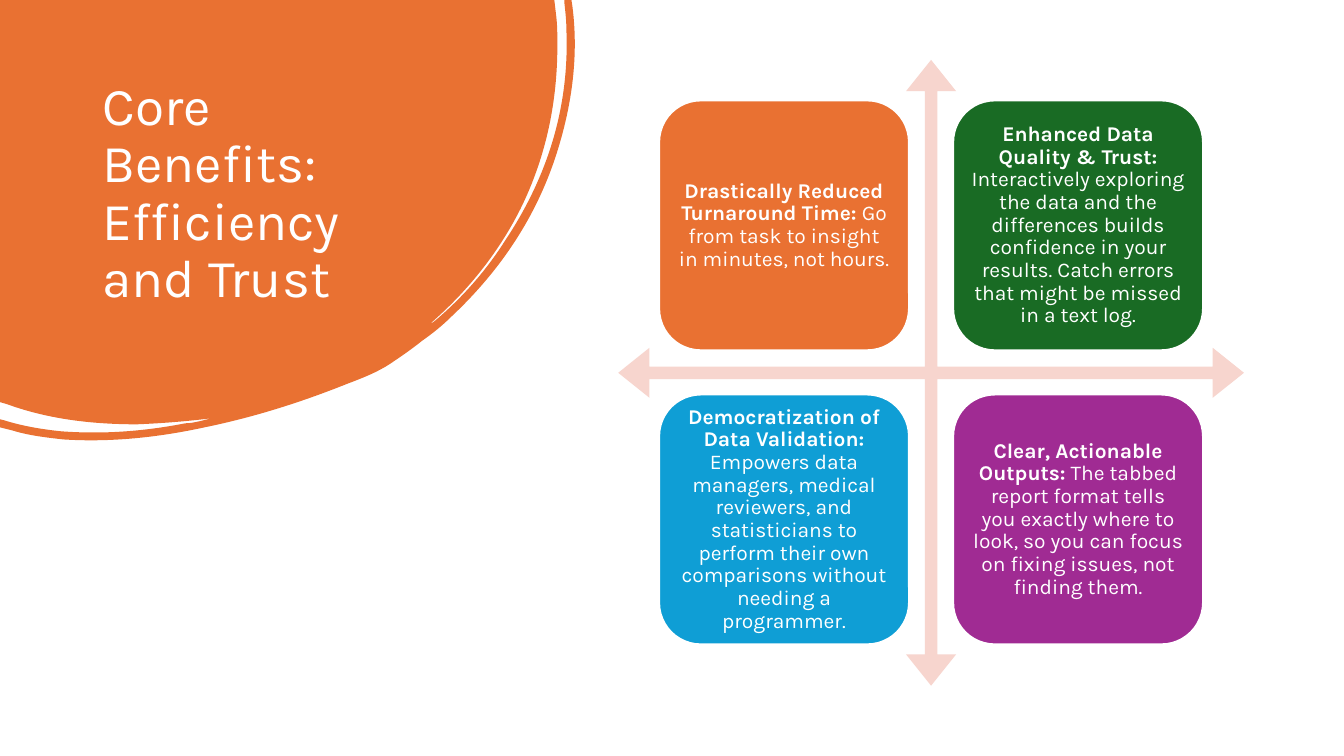
import dataclasses
import itertools

import lxml.etree
import pptx
import pptx.dml.color
import pptx.enum.shapes
import pptx.enum.text
import pptx.oxml.ns
import pptx.util

Cm = pptx.util.Cm
Pt = pptx.util.Pt
RGBColor = pptx.dml.color.RGBColor
ShapeKind = pptx.enum.shapes.MSO_SHAPE
Align = pptx.enum.text.PP_ALIGN
Anchor = pptx.enum.text.MSO_ANCHOR
qualified = pptx.oxml.ns.qn


@dataclasses.dataclass(frozen=True)
class Theme:
    font: str = "Karla"
    white: RGBColor = RGBColor(0xFF, 0xFF, 0xFF)
    orange: RGBColor = RGBColor(0xE9, 0x71, 0x32)
    green: RGBColor = RGBColor(0x19, 0x6B, 0x24)
    blue: RGBColor = RGBColor(0x0F, 0x9E, 0xD5)
    purple: RGBColor = RGBColor(0xA0, 0x2B, 0x93)
    blush: RGBColor = RGBColor(0xF7, 0xD5, 0xCE)
    title_size: pptx.util.Length = Pt(38)
    card_size: pptx.util.Length = Pt(15)
    line_spacing: float = 0.9


@dataclasses.dataclass(frozen=True)
class Card:
    heading: str
    detail: str
    color: RGBColor


THEME = Theme()

# Cards, row by row
CARDS = [
    Card("Drastically Reduced Turnaround Time:",
         "Go from task to insight in minutes, not hours.", THEME.orange),
    Card("Enhanced Data Quality & Trust:",
         "Interactively exploring the data and the differences builds confidence in your "
         "results. Catch errors that might be missed in a text log.", THEME.green),
    Card("Democratization of Data Validation:",
         "Empowers data managers, medical reviewers, and statisticians to perform their own "
         "comparisons without needing a programmer.", THEME.blue),
    Card("Clear, Actionable Outputs:",
         "The tabbed report format tells you exactly where to look, so you can focus on "
         "fixing issues, not finding them.", THEME.purple),
]
CARD_LEFT, CARD_TOP, CARD_SIDE, CARD_PITCH = 16.61, 2.53, 6.3, 7.41

# Corner blob, drawn from the slide's top left corner:
# two numbers are a straight step, six are a Bézier curve
BLOB_UNIT = Cm(2.54)
BLOB_STEPS: list[tuple[float, ...]] = [
    (5.5, 0), (5.52, 0.17),
    (5.53, 0.26, 5.53, 0.36, 5.53, 0.45),
    (5.53, 1.01, 5.42, 1.54, 5.18, 2.04),
    (4.96, 2.49, 4.65, 2.88, 4.27, 3.21),
    (4.29, 3.21, 4.3, 3.19, 4.32, 3.18),
    (4.59, 2.95, 4.82, 2.69, 5.01, 2.39),
    (5.43, 1.76, 5.65, 1.07, 5.62, 0.3),
    (5.62, 0.21, 5.61, 0.12, 5.6, 0.03),
    (5.6, 0), (5.67, 0), (5.68, 0.07),
    (5.74, 0.54, 5.68, 1.02, 5.53, 1.5),
    (5.33, 2.14, 4.97, 2.68, 4.48, 3.14),
    (4.39, 3.23, 4.29, 3.31, 4.19, 3.38),
    (4.09, 3.46, 3.99, 3.53, 3.87, 3.61),
    (3.75, 3.69, 3.6, 3.75, 3.44, 3.81),
    (2.99, 3.99, 2.52, 4.14, 2.03, 4.24),
    (1.57, 4.34, 1.1, 4.39, 0.63, 4.36),
    (0.45, 4.34, 0.28, 4.32, 0.12, 4.27),
    (0, 4.24), (0, 4.16), (0.04, 4.17),
    (0.23, 4.23, 0.42, 4.26, 0.61, 4.28),
    (1.03, 4.31, 1.43, 4.28, 1.84, 4.2),
    (1.89, 4.2, 1.93, 4.19, 1.98, 4.18),
    (2.02, 4.17, 2.06, 4.16, 2.1, 4.15),
    (1.86, 4.18, 1.61, 4.2, 1.36, 4.21),
    (0.92, 4.21, 0.48, 4.16, 0.07, 4.01),
    (0, 3.99),
]


def paint(shape, color: RGBColor) -> None:
    shape.shadow.inherit = False
    shape.fill.solid()
    shape.fill.fore_color.rgb = color
    shape.line.fill.background()


def style_paragraph(paragraph, size: pptx.util.Length, alignment: Align) -> None:
    paragraph.alignment = alignment
    paragraph.line_spacing = THEME.line_spacing
    paragraph.font.name = THEME.font
    paragraph.font.size = size
    paragraph.font.color.rgb = THEME.white


def bend(segment, controls: list[int]) -> None:
    """Turn a straight outline segment into a Bézier curve."""
    segment.tag = qualified("a:cubicBezTo")
    for index, (x, y) in enumerate(zip(controls[::2], controls[1::2])):
        point = lxml.etree.Element(qualified("a:pt"), x=str(x), y=str(y))
        segment.insert(index, point)


def draw_blob(slide) -> None:
    steps = [[round(value * BLOB_UNIT) for value in step] for step in BLOB_STEPS]
    builder = slide.shapes.build_freeform(0, 0)
    builder.add_line_segments([step[-2:] for step in steps], close=True)
    blob = builder.convert_to_shape()
    segments = list(blob.element.iter(qualified("a:lnTo")))
    for segment, step in zip(segments, steps):
        if len(step) == 6:
            bend(segment, step[:4])
    paint(blob, THEME.orange)
    slide.shapes.title.element.addprevious(blob.element)  # behind the title


def fill_title(slide) -> None:
    title = slide.shapes.title
    title.left, title.top, title.width, title.height = Cm(2.33), Cm(1.87), Cm(8.94), Cm(5.64)
    frame = title.text_frame
    frame.text = "Core Benefits: Efficiency and Trust"
    frame.word_wrap = True
    frame.auto_size = pptx.enum.text.MSO_AUTO_SIZE.NONE
    frame.vertical_anchor = Anchor.TOP
    frame.margin_right = Cm(0.6)
    style_paragraph(frame.paragraphs[0], THEME.title_size, Align.LEFT)


def draw_axes(slide) -> None:
    arrows = slide.shapes.add_shape(
        ShapeKind.QUAD_ARROW, Cm(15.58), Cm(1.51), Cm(15.77), Cm(15.77))
    for index, value in enumerate((0.02, 0.04, 0.05)):
        arrows.adjustments[index] = value
    paint(arrows, THEME.blush)


def draw_card(slide, card: Card, left: float, top: float) -> None:
    shape = slide.shapes.add_shape(
        ShapeKind.ROUNDED_RECTANGLE, Cm(left), Cm(top), Cm(CARD_SIDE), Cm(CARD_SIDE))
    paint(shape, card.color)
    shape.line.color.rgb = THEME.white
    shape.line.width = Pt(1.5)
    frame = shape.text_frame
    frame.word_wrap = True
    frame.vertical_anchor = Anchor.MIDDLE
    frame.margin_left = frame.margin_right = Cm(0.16)
    frame.margin_top = frame.margin_bottom = Cm(0.16)
    paragraph = frame.paragraphs[0]
    style_paragraph(paragraph, THEME.card_size, Align.CENTER)
    heading = paragraph.add_run()
    heading.text = card.heading
    heading.font.bold = True
    paragraph.add_run().text = f" {card.detail}"


def main() -> None:
    presentation = pptx.Presentation()
    presentation.slide_width, presentation.slide_height = Cm(33.87), Cm(19.05)
    slide = presentation.slides.add_slide(presentation.slide_layouts.get_by_name("Title Only"))
    draw_blob(slide)
    fill_title(slide)
    draw_axes(slide)
    for card, (row, column) in zip(CARDS, itertools.product(range(2), repeat=2)):
        draw_card(slide, card, CARD_LEFT + column * CARD_PITCH, CARD_TOP + row * CARD_PITCH)
    presentation.save("out.pptx")


if __name__ == "__main__":
    main()
